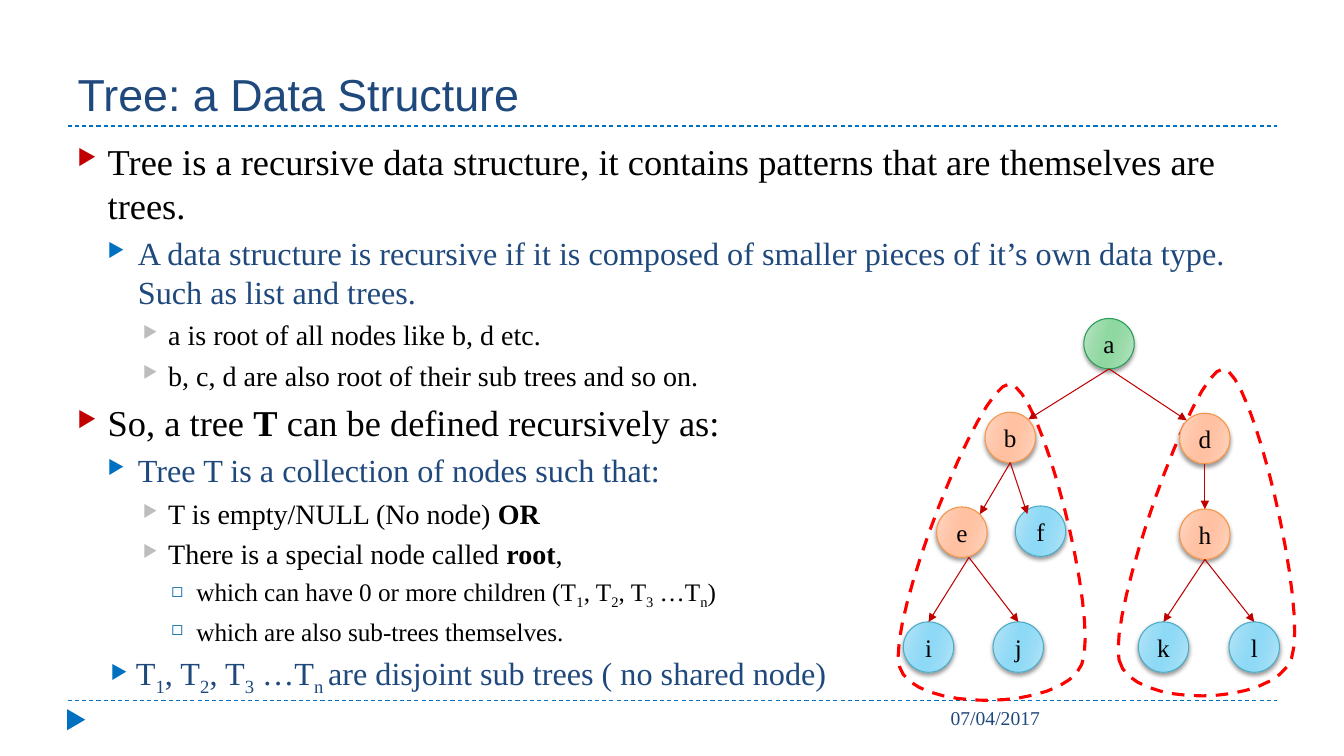
from lxml import etree
from pptx import Presentation
from pptx import util as u
from pptx.dml.color import RGBColor
from pptx.enum import dml, shapes, text
from pptx.oxml import parse_xml
from pptx.oxml.ns import nsdecls, qn

Inches, Pt = u.Inches, u.Pt
SERIF, SANS = "Times New Roman", "Arial"
BLACK = RGBColor(0x00, 0x00, 0x00)
NAVY = RGBColor(0x1F, 0x49, 0x7D)
BLUE = RGBColor(0x00, 0x70, 0xC0)
STEEL = RGBColor(0x00, 0x63, 0xA9)
RED = RGBColor(0xFF, 0x00, 0x00)
CRIMSON = RGBColor(0xC0, 0x00, 0x00)
SILVER = RGBColor(0xBD, 0xBD, 0xBD)
GREEN_EDGE = RGBColor(0x27, 0x9D, 0x57)
ORANGE_EDGE = RGBColor(0xF7, 0x96, 0x46)
CYAN_EDGE = RGBColor(0x4B, 0xAC, 0xC6)
GREEN = (GREEN_EDGE, ("BBE4C5", "9BDBAB", "8FD8A1"))
ORANGE = (ORANGE_EDGE, ("FFD7C5", "FFC6AA", "FFC1A1"))
CYAN = (CYAN_EDGE, ("B9E5F7", "99DCF6", "8DD9F6"))

RADIUS = 0.25
DIAGONAL = 0.18
BULLET_PERCENT = 60

LEVELS = [
    (26, BLACK, 6, "▶", CRIMSON, 0.3, 0.3),
    (23, NAVY, 5, "▶", BLUE, 0.6, 0.3),
    (20, BLACK, 5, "▶", SILVER, 0.9, 0.25),
    (18, BLACK, 4, "◻", STEEL, 1.18, 0.25),
    (23, NAVY, 5, "▶", BLUE, 0.58, 0.25),
]
CLOSING = 4
OUTLINE = [
    (0, "Tree is a recursive data structure, it contains patterns that are themselves are trees."),
    (1, "A data structure is recursive if it is composed of smaller pieces of it’s own data type. "
        "Such as list and trees."),
    (2, "a is root of all nodes like b, d etc."),
    (2, "b, c, d are also root of their sub trees and so on."),
    (0, "So, a tree *T* can be defined recursively as:"),
    (1, "Tree T is a collection of nodes such that:"),
    (2, "T is empty/NULL (No node) *OR*"),
    (2, "There is a special node called *root*,"),
    (3, "which can have 0 or more children (T_1_, T_2_, T_3_ …T_n_)"),
    (3, "which are also sub-trees themselves."),
    (CLOSING, "T_1_, T_2_, T_3_ …T_n _are disjoint sub trees ( no shared node)"),
]
NODES = {
    "a": (11, 3.41, GREEN),
    "b": (10.02, 4.34, ORANGE),
    "d": (11.95, 4.35, ORANGE),
    "e": (9.54, 5.28, ORANGE),
    "f": (10.32, 5.27, CYAN),
    "h": (11.95, 5.3, ORANGE),
    "i": (9.21, 6.42, CYAN),
    "j": (10.1, 6.42, CYAN),
    "k": (11.54, 6.42, CYAN),
    "l": (12.44, 6.42, CYAN),
}
TOP, TOP_LEFT, TOP_RIGHT = (0, -RADIUS), (-DIAGONAL, -DIAGONAL), (DIAGONAL, -DIAGONAL)
EDGES = [
    ("a", "b", TOP_RIGHT), ("a", "d", TOP_LEFT),
    ("b", "e", TOP_RIGHT), ("b", "f", (-0.13, -0.17)),
    ("d", "h", TOP), ("h", "k", TOP), ("h", "l", TOP),
    ("e", "i", TOP), ("e", "j", TOP),
]
START_SHIFT = {"e": 0.07}
SUBTREES = [
    [(11.1, 6.55), (11.21, 7.03), (12.64, 7.02), (12.81, 6.53), (12.98, 6.05),
     (12.42, 3.66), (12.13, 3.66), (11.84, 3.66), (10.99, 6.07), (11.1, 6.55)],
    [(8.92, 6.61), (9.04, 7.07), (10.55, 7.06), (10.73, 6.59), (10.91, 6.13),
     (10.32, 3.81), (10.01, 3.81), (9.71, 3.81), (8.8, 6.15), (8.92, 6.61)],
]


def style_font(font, size, color, name=SERIF):
    font.size, font.name = Pt(size), name
    font.color.rgb = color


def add_title(slide, wording):
    title = slide.shapes.title
    title.left, title.top = Inches(0.67), Inches(0.17)
    title.width, title.height = Inches(12), Inches(1.08)
    frame = title.text_frame
    frame.text = wording
    frame.auto_size = text.MSO_AUTO_SIZE.NONE
    frame.vertical_anchor = text.MSO_ANCHOR.BOTTOM
    frame.paragraphs[0].alignment = text.PP_ALIGN.LEFT
    style_font(frame.paragraphs[0].runs[0].font, 32, NAVY, SANS)


def add_text_box(slide, left, top, width, height):
    box = slide.shapes.add_textbox(Inches(left), Inches(top), Inches(width), Inches(height))
    box.text_frame.word_wrap = True
    return box.text_frame


def add_line(slide, start, end, color, dashed=False, arrow=False):
    line = slide.shapes.add_connector(
        shapes.MSO_CONNECTOR.STRAIGHT, *[Inches(v) for v in (*start, *end)])
    line.line.color.rgb = color
    line.line.width = Pt(0.75)
    if dashed:
        line.line.dash_style = dml.MSO_LINE.DASH
    if arrow:
        etree.SubElement(line.line._get_or_add_ln(), qn("a:tailEnd"), type="triangle")
    etree.SubElement(line._element.spPr, qn("a:effectLst"))


def set_bullet(paragraph, char, color, margin, hang):
    props = paragraph._p.get_or_add_pPr()
    props.set("marL", str(Inches(margin)))
    props.set("indent", str(-Inches(hang)))
    bullet_color = etree.SubElement(props, qn("a:buClr"))
    etree.SubElement(bullet_color, qn("a:srgbClr"), val=str(color))
    etree.SubElement(props, qn("a:buSzPct"), val=str(BULLET_PERCENT * 1000))
    etree.SubElement(props, qn("a:buChar"), char=char)


def add_outline(slide):
    frame = add_text_box(slide, 0.67, 1.33, 12, 5.4)
    for number, (level, wording) in enumerate(OUTLINE):
        size, color, before, *bullet = LEVELS[level]
        paragraph = frame.add_paragraph() if number else frame.paragraphs[0]
        paragraph.level = 1 if level == CLOSING else level
        set_bullet(paragraph, *bullet)
        paragraph.space_before = Pt(before if number else 0)
        mark = "_" if "_" in wording else "*"
        for part, piece in enumerate(wording.split(mark)):
            if not piece:
                continue
            run = paragraph.add_run()
            run.text = piece
            style_font(run.font, size, color)
            if part % 2 and mark == "*":
                run.font.bold = True
            elif part % 2:
                run._r.get_or_add_rPr().set("baseline", "-25000")


def add_subtree_outline(slide, controls, steps=16):
    points = [controls[0]]
    for first in range(0, len(controls) - 1, 3):
        curve = controls[first:first + 4]
        for step in range(1, steps + 1):
            t = step / steps
            weights = ((1 - t) ** 3, 3 * t * (1 - t) ** 2, 3 * t * t * (1 - t), t ** 3)
            points.append(tuple(sum(w * p[axis] for w, p in zip(weights, curve)) for axis in (0, 1)))
    corners = [(Inches(x), Inches(y)) for x, y in points]
    builder = slide.shapes.build_freeform(*corners[0])
    builder.add_line_segments(corners[1:-1], close=True)
    loop = builder.convert_to_shape()
    loop.shadow.inherit = False
    loop.fill.background()
    loop.line.color.rgb = RED
    loop.line.width = Pt(2.25)
    loop.line.dash_style = dml.MSO_LINE.DASH


def add_node(slide, label, x, y, palette):
    edge, (outer, middle, inner) = palette
    node = slide.shapes.add_shape(
        shapes.MSO_SHAPE.OVAL, Inches(x - RADIUS), Inches(y - RADIUS),
        Inches(2 * RADIUS), Inches(2 * RADIUS))
    node.line.color.rgb = edge
    node.line.width = Pt(0.75)
    stops = zip((0, 30, 45, 55, 73, 100), (outer, middle, inner, inner, middle, outer))
    stop_xml = "".join(
        f'<a:gs pos="{at * 1000}"><a:srgbClr val="{color}"/></a:gs>' for at, color in stops)
    node._element.spPr.find(qn("a:prstGeom")).addnext(parse_xml(
        f'<a:gradFill {nsdecls("a")}><a:gsLst>{stop_xml}</a:gsLst>'
        f'<a:lin ang="{16 * 60000}" scaled="0"/></a:gradFill>'))
    node._element.spPr.append(parse_xml(
        f'<a:effectLst {nsdecls("a")}><a:outerShdw blurRad="{Pt(3)}" dist="{Pt(2)}" '
        'dir="5400000" rotWithShape="0"><a:srgbClr val="000000"><a:alpha val="40000"/>'
        '</a:srgbClr></a:outerShdw></a:effectLst>'))
    frame = node.text_frame
    frame.margin_left = frame.margin_right = 0
    frame.vertical_anchor = text.MSO_ANCHOR.MIDDLE
    frame.text = label
    frame.paragraphs[0].alignment = text.PP_ALIGN.CENTER
    style_font(frame.paragraphs[0].runs[0].font, 18, BLACK)


def add_edge(slide, parent, child, entry):
    x, y, _ = NODES[parent]
    child_x, child_y, _ = NODES[child]
    start = (x + START_SHIFT.get(parent, 0), y + RADIUS)
    add_line(slide, start, (child_x + entry[0], child_y + entry[1]), CRIMSON, arrow=True)


def add_footer(slide):
    marker = slide.shapes.add_shape(
        shapes.MSO_SHAPE.ISOSCELES_TRIANGLE, Inches(0.65), Inches(7.05), Inches(0.21), Inches(0.18))
    marker.rotation = 90
    marker.shadow.inherit = False
    marker.fill.solid()
    marker.fill.fore_color.rgb = BLUE
    marker.line.fill.background()
    date = add_text_box(slide, 9.33, 6.95, 3.34, 0.4)
    date.text = "07/04/2017"
    style_font(date.paragraphs[0].runs[0].font, 14, NAVY)


def main():
    deck = Presentation()
    deck.slide_width, deck.slide_height = Inches(13.33), Inches(7.5)
    slide = deck.slides.add_slide(deck.slide_layouts[5])
    for y in (6.95, 1.25):
        add_line(slide, (0.67, y), (12.67, y), BLUE, dashed=True)
    add_title(slide, "Tree: a Data Structure")
    add_footer(slide)
    add_outline(slide)
    for controls in SUBTREES:
        add_subtree_outline(slide, controls)
    for label, (x, y, palette) in NODES.items():
        add_node(slide, label, x, y, palette)
    for edge in EDGES:
        add_edge(slide, *edge)
    deck.save("out.pptx")


if __name__ == "__main__":
    main()
